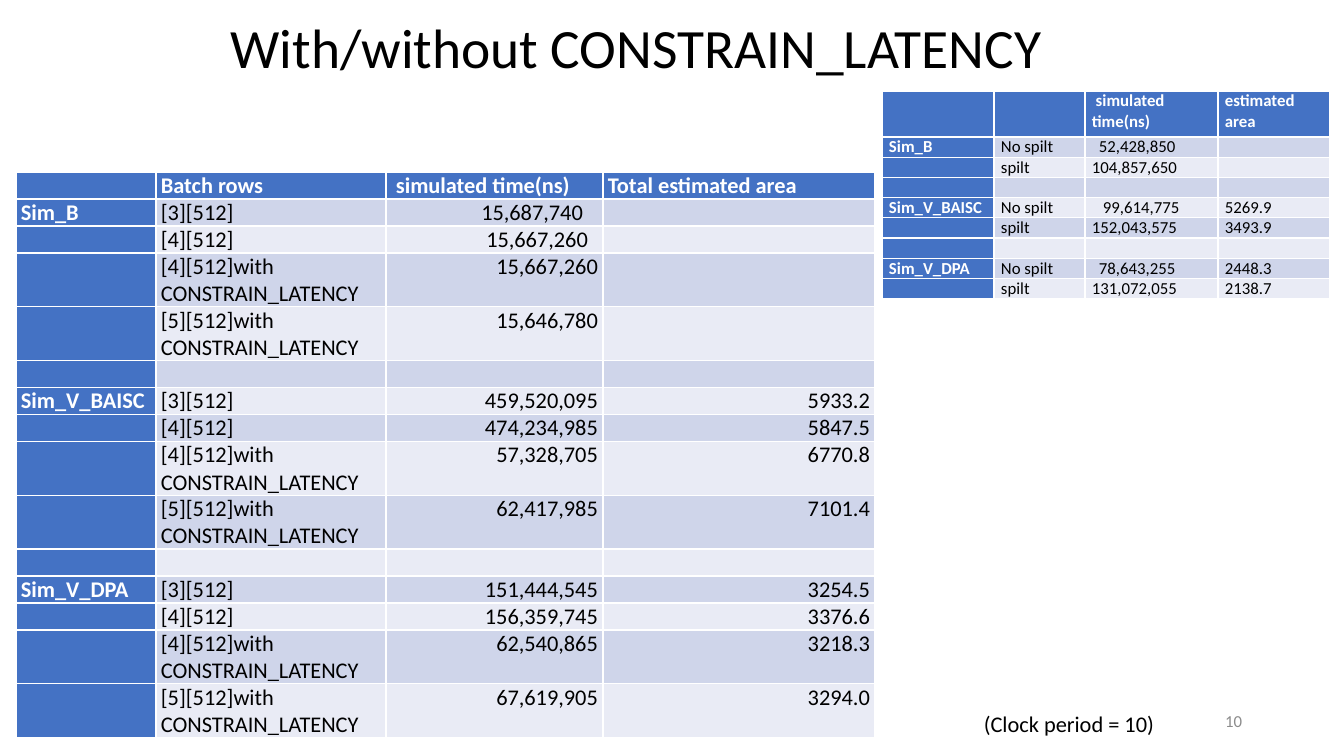
from pptx import Presentation
from pptx.dml.color import RGBColor as RGB
from pptx.enum.text import MSO_ANCHOR as Anchor, PP_ALIGN as Align

PX = 9071.43  # EMU per px, 100.8 px to the inch
BLUE, WHITE, BLACK, GREY = "4472C4", "FFFFFF", "000000", "8C8C8C"
BANDS = ["E9EBF5", "CFD5EA"]


def px(n):
    return round(n * PX)


def write(frame, text, size=16, color=BLACK, bold=False, align=Align.LEFT, lead=1.0):
    frame.word_wrap = True
    para = frame.paragraphs[0]
    para.alignment = align
    para.line_spacing = lead
    if not text:  # keeps an empty row as low as its neighbours
        para._p.get_or_add_endParaRPr().set("sz", str(size * 100))
        return
    run = para.add_run()
    run.text = text
    run.font.name = "Calibri"
    run.font.size = round(size * 12700)
    run.font.bold = bold
    run.font.color.rgb = RGB.from_string(color)


deck = Presentation()
deck.slide_width, deck.slide_height = px(1344), px(756)
slide = deck.slides.add_slide(deck.slide_layouts[6])

# Title, clock note and page number
labels = [
    ((180, 13, 925, 74), "With/without CONSTRAIN_LATENCY ", Anchor.MIDDLE,
     dict(size=39.6, align=Align.CENTER, lead=0.9)),
    ((974, 705, 194, 37), "(Clock period = 10)", Anchor.TOP, {}),
    ((950, 701, 302, 40), "10", Anchor.MIDDLE,
     dict(size=12, color=GREY, align=Align.RIGHT)),
]
for box, text, anchor, style in labels:
    frame = slide.shapes.add_textbox(*map(px, box)).text_frame
    frame.vertical_anchor = anchor
    write(frame, text, **style)

# Batch results: each group is one simulator with its times and areas
batches = ["[3][512]", "[4][512]", "[4][512]with CONSTRAIN_LATENCY",
           "[5][512]with CONSTRAIN_LATENCY"]
groups = [
    ("Sim_B", ["15,687,740", "15,667,260", "15,667,260", "15,646,780"], [""] * 4),
    ("Sim_V_BAISC", ["459,520,095", "474,234,985", "57,328,705", "62,417,985"],
     ["5933.2", "5847.5", "6770.8", "7101.4"]),
    ("Sim_V_DPA", ["151,444,545", "156,359,745", "62,540,865", "67,619,905"],
     ["3254.5", "3376.6", "3218.3", "3294.0"]),
]
batch_rows = [["", "Batch rows", " simulated time(ns)", "Total estimated area"]]
for name, times, areas in groups:
    if len(batch_rows) > 1:
        batch_rows.append([""] * 4)
    for i, row in enumerate(zip(batches, times, areas)):
        batch_rows.append([name if i == 0 else "", *row])

# Split results
split_rows = [
    ["", "", " simulated time(ns)", "estimated area"],
    ["Sim_B", "No spilt", "52,428,850", ""],
    ["", "spilt", "104,857,650", ""],
    [""] * 4,
    ["Sim_V_BAISC", "No spilt", "99,614,775", "5269.9"],
    ["", "spilt", "152,043,575", "3493.9"],
    [""] * 4,
    ["Sim_V_DPA", "No spilt", "78,643,255", "2448.3"],
    ["", "spilt", "131,072,055", "2138.7"],
]

# Row heights, and extra inset in the time column by row number
batch_high = [53 if "with" in row[1] else 27 for row in batch_rows]
split_high = [46] + [18] * 8
tables = [
    (16, 172, [140, 230, 217, 272], batch_high, batch_rows, 16, 5,
     Align.RIGHT, {1: 15, 2: 10}),
    (882, 91, [112, 91, 133, 112], split_high, split_rows, 12, 7,
     Align.LEFT, {1: 7, 4: 11, 7: 7}),
]
for left, top, wide, high, rows, size, inset, side, pads in tables:
    table = slide.shapes.add_table(
        len(rows), len(wide), px(left), px(top), px(sum(wide)), px(sum(high))).table
    table.first_col = True
    for col, w in zip(table.columns, wide):
        col.width = px(w)
    for r, row in enumerate(rows):
        table.rows[r].height = px(high[r])
        for c, text in enumerate(row):
            cell = table.cell(r, c)
            head = r == 0 or c == 0
            pad = pads.get(r, 0) if c == 2 else 0
            cell.margin_top = cell.margin_bottom = 0
            cell.margin_left = px(inset + (pad if side == Align.LEFT else 0))
            cell.margin_right = px(inset + (pad if side == Align.RIGHT else 0))
            cell.fill.solid()
            cell.fill.fore_color.rgb = RGB.from_string(BLUE if head else BANDS[r % 2])
            write(cell.text_frame, text, size=size, bold=head,
                  color=WHITE if head else BLACK,
                  align=side if r > 0 and c > 1 else Align.LEFT)

deck.save("out.pptx")
